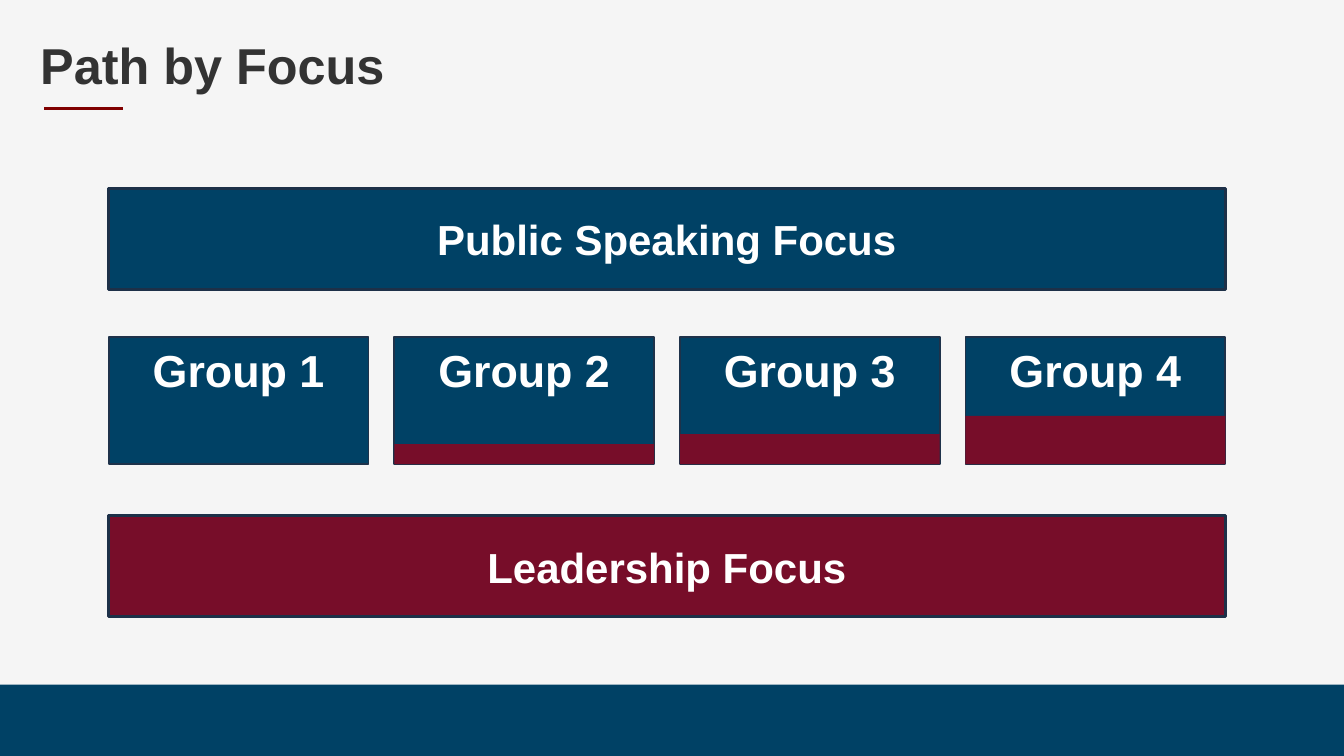
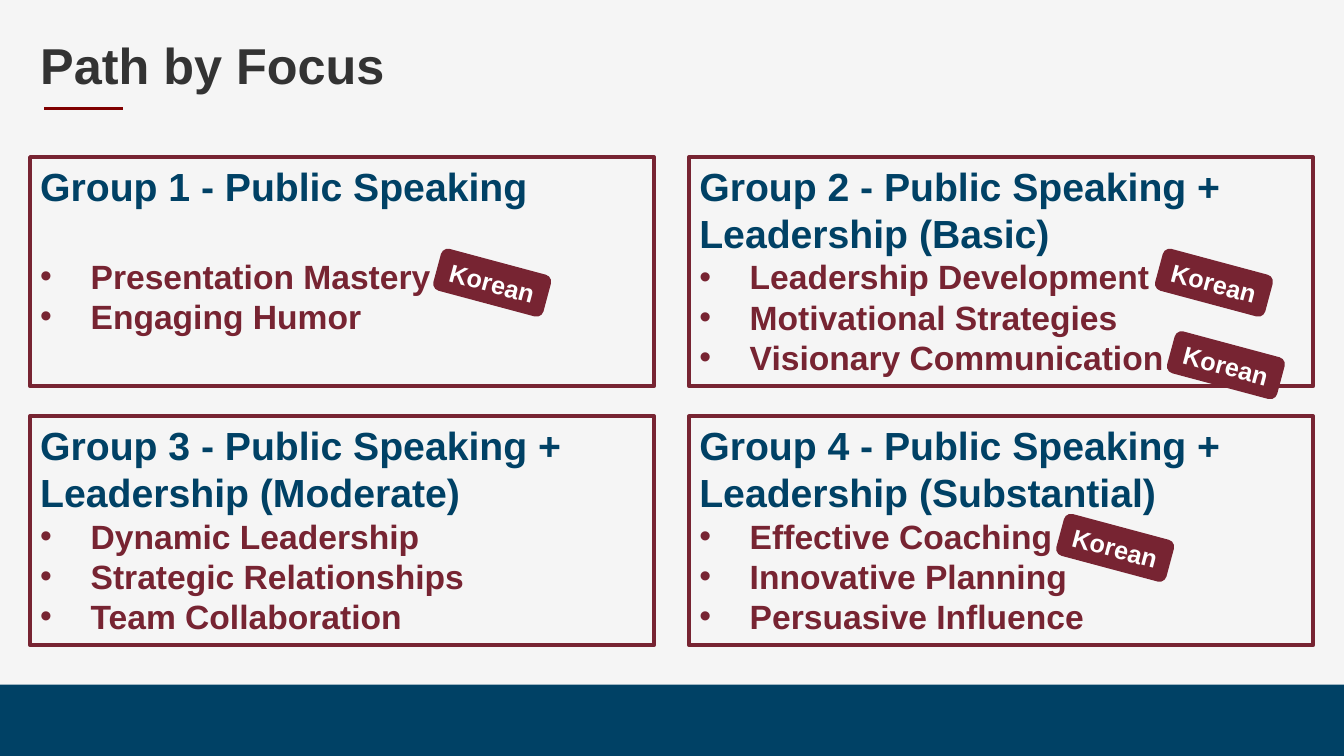
from dataclasses import dataclass

from lxml import etree
from pptx import Presentation
from pptx.dml.color import RGBColor
from pptx.enum.shapes import MSO_CONNECTOR, MSO_SHAPE
from pptx.enum.text import MSO_ANCHOR, MSO_AUTO_SIZE, PP_ALIGN
from pptx.oxml.ns import qn
from pptx.util import Cm, Pt


@dataclass(frozen=True)
class Theme:
    font: str = "Arial"
    paper: str = "F5F5F5"
    ink: str = "333333"
    white: str = "FFFFFF"
    blue: str = "004165"
    wine: str = "770D29"
    maroon: str = "772432"
    rule: str = "800000"
    group_edge: str = "1E324A"
    bar_edge: str = "1D3048"
    title: int = 36
    group: int = 32
    bar: int = 30
    heading: int = 28
    item: int = 24
    tag: int = 18


T = Theme()
TITLE_ONLY, COMPARISON = 5, 4

# Slide 1: amount of leadership in each group, as band height in cm
LEADERSHIP_BANDS = [0, 0.51, 0.76, 1.22]

# Slide 2: heading, space before the list in points, items
PANELS = [
    ("Group 1 - Public Speaking", 33,
     ["Presentation Mastery", "Engaging Humor"]),
    ("Group 2 - Public Speaking + Leadership (Basic)", 0,
     ["Leadership Development", "Motivational Strategies", "Visionary Communication"]),
    ("Group 3 - Public Speaking + Leadership (Moderate)", 0,
     ["Dynamic Leadership", "Strategic Relationships", "Team Collaboration"]),
    ("Group 4 - Public Speaking + Leadership (Substantial)", 0,
     ["Effective Coaching", "Innovative Planning", "Persuasive Influence"]),
]
KOREAN_TAGS = [(10.97, 6.58), (29.16, 6.58), (29.46, 8.66), (26.67, 13.26)]


def rgb(color):
    return RGBColor.from_string(color)


def write(p, text, size, color=T.white, align=PP_ALIGN.LEFT, before=0, spacing=None):
    """Fill one paragraph with formatted text."""
    p.alignment = align
    p.space_before = Pt(before)
    if spacing:
        p.line_spacing = spacing
    r = p.add_run()
    r.text = text
    r.font.name, r.font.size, r.font.bold = T.font, Pt(size), True
    r.font.color.rgb = rgb(color)


def set_bullet(p, color=None):
    """Give the paragraph a hanging bullet, or none without a colour."""
    pPr = p._p.get_or_add_pPr()
    indent = Cm(1.27) if color else 0
    pPr.set("marL", str(indent))
    pPr.set("indent", str(-indent))
    if not color:
        etree.SubElement(pPr, qn("a:buNone"))
        return
    clr = etree.SubElement(pPr, qn("a:buClr"))
    etree.SubElement(clr, qn("a:srgbClr"), val=color)
    etree.SubElement(pPr, qn("a:buFont"), typeface=T.font)
    etree.SubElement(pPr, qn("a:buChar"), char="•")


def place(sp, x, y, w, h):
    sp.left, sp.top, sp.width, sp.height = Cm(x), Cm(y), Cm(w), Cm(h)


def setup_frame(sp, anchor):
    tf = sp.text_frame
    tf.word_wrap = True
    tf.auto_size = MSO_AUTO_SIZE.NONE
    tf.vertical_anchor = anchor
    return tf


def add_box(s, x, y, w, h, fill, text="", size=T.bar, edge=None, edge_width=2,
            anchor=MSO_ANCHOR.MIDDLE, kind=MSO_SHAPE.RECTANGLE):
    sp = s.shapes.add_shape(kind, Cm(x), Cm(y), Cm(w), Cm(h))
    sp.shadow.inherit = False
    sp.fill.solid()
    sp.fill.fore_color.rgb = rgb(fill)
    if edge:
        sp.line.color.rgb = rgb(edge)
        sp.line.width = Pt(edge_width)
    else:
        sp.line.fill.background()
    if text:
        tf = setup_frame(sp, anchor)
        write(tf.paragraphs[0], text, size, align=PP_ALIGN.CENTER)
    return sp


def add_rule(s, x1, x2, y):
    line = s.shapes.add_connector(MSO_CONNECTOR.STRAIGHT, Cm(x1), Cm(y), Cm(x2), Cm(y))
    line.line.color.rgb = rgb(T.rule)
    line.line.width = Pt(2.25)
    etree.SubElement(line.element.spPr, qn("a:effectLst"))
    return line


def add_slide(prs, layout, title):
    s = prs.slides.add_slide(prs.slide_layouts[layout])
    sp = s.shapes.title
    place(sp, 0.76, 0.81, 32.36, 1.8)
    tf = setup_frame(sp, MSO_ANCHOR.MIDDLE)
    write(tf.paragraphs[0], title, T.title, T.ink, spacing=0.9)
    return s


def style_master(prs, s):
    """Set the background and move the footer band and title rule to the master."""
    master = prs.slide_master
    master.background.fill.solid()
    master.background.fill.fore_color.rgb = rgb(T.paper)
    shared = [add_box(s, 0, 17.25, 33.87, 1.8, T.blue), add_rule(s, 1.12, 3.1, 2.74)]
    for pos, sp in enumerate(shared, start=2):
        master.element.cSld.spTree.insert(pos, sp.element)


def fill_panel(sp, heading, before, items):
    sp.line.color.rgb = rgb(T.maroon)
    sp.line.width = Pt(3)
    tf = setup_frame(sp, MSO_ANCHOR.TOP)
    set_bullet(tf.paragraphs[0])
    write(tf.paragraphs[0], heading, T.heading, T.blue)
    for i, item in enumerate(items):
        p = tf.add_paragraph()
        set_bullet(p, T.maroon)
        write(p, item, T.item, T.maroon, before=0 if i else before)


def build_overview(s):
    left, width = 2.74, 28.14
    # Groups between the two focus bars
    top, group_w, group_h = 8.5, 6.55, 3.2
    step = (width - group_w) / (len(LEADERSHIP_BANDS) - 1)
    for i, band in enumerate(LEADERSHIP_BANDS):
        x = left + i * step
        add_box(s, x, top, group_w, group_h, T.blue, f"Group {i + 1}", T.group,
                edge=T.group_edge, edge_width=1.25, anchor=MSO_ANCHOR.TOP)
        if band:
            add_box(s, x, top + group_h - band, group_w, band, T.wine)
    # Focus bars
    for y, fill, text in [(4.75, T.blue, "Public Speaking Focus"),
                          (13, T.wine, "Leadership Focus")]:
        add_box(s, left, y, width, 2.54, fill, text, edge=T.bar_edge)


def build_details(s):
    # Two by two panels
    bodies = [sp for sp in s.placeholders if sp.placeholder_format.idx > 0]
    for i, (sp, panel) in enumerate(zip(bodies, PANELS)):
        row, col = divmod(i, 2)
        place(sp, 0.76 + col * 16.61, 3.96 + row * 6.53, 15.72, 5.77)
        fill_panel(sp, *panel)
    # Language tags
    for x, y in KOREAN_TAGS:
        tag = add_box(s, x, y, 2.87, 1.09, T.maroon, "Korean", T.tag,
                      kind=MSO_SHAPE.ROUNDED_RECTANGLE)
        tag.rotation = 15


def main():
    prs = Presentation()
    prs.slide_width, prs.slide_height = Cm(33.87), Cm(19.05)
    overview = add_slide(prs, TITLE_ONLY, "Path by Focus")
    style_master(prs, overview)
    build_overview(overview)
    build_details(add_slide(prs, COMPARISON, "Path by Focus"))
    prs.save("out.pptx")


if __name__ == "__main__":
    main()
